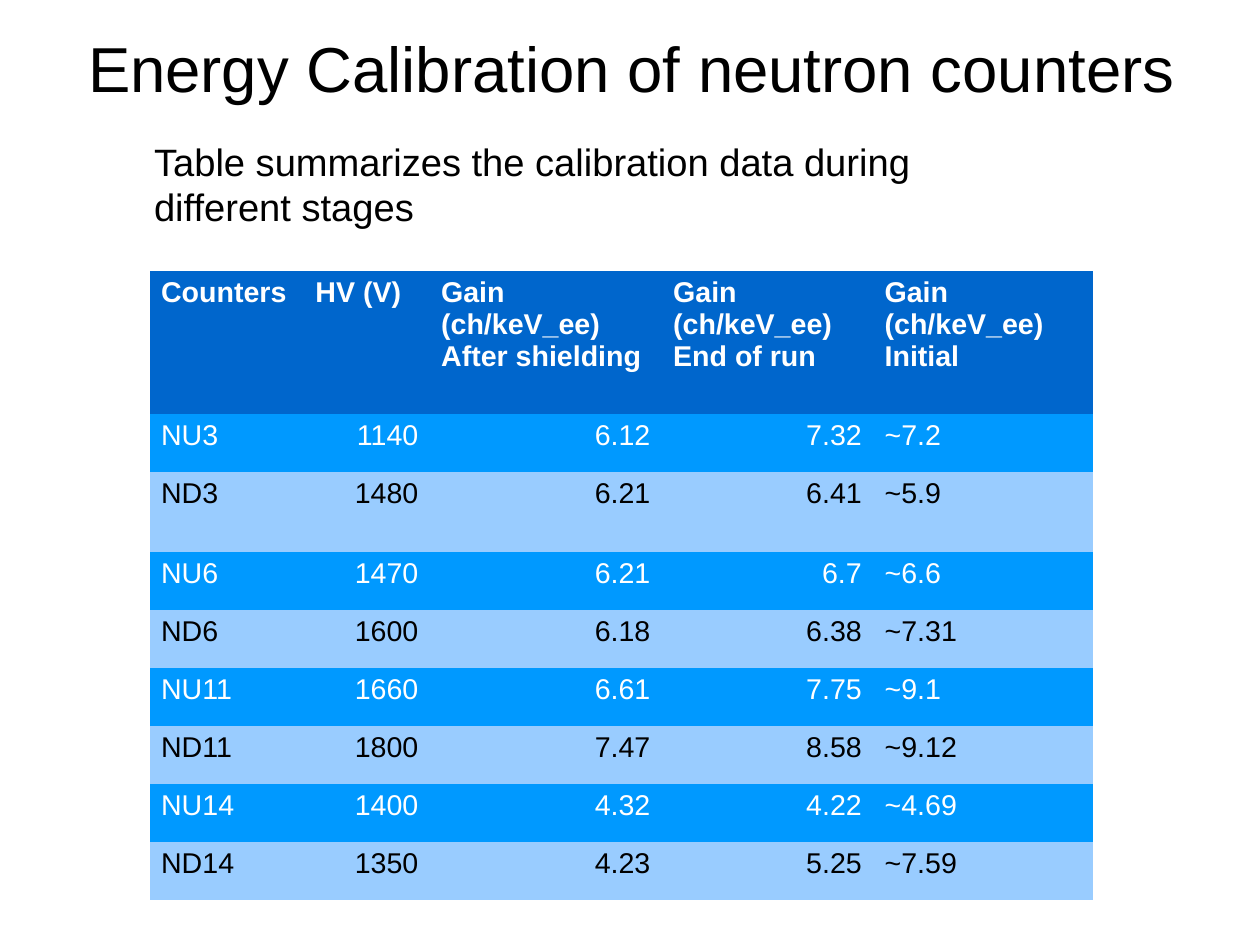
"""Build the slide on energy calibration of neutron counters."""
from pptx import Presentation
from pptx.dml.color import RGBColor
from pptx.enum.text import MSO_ANCHOR as Anchor, MSO_AUTO_SIZE as Fit, PP_ALIGN as Align
from pptx.util import Inches, Pt

WHITE = RGBColor(0xFF, 0xFF, 0xFF)
BLACK = RGBColor(0x00, 0x00, 0x00)
NAVY = RGBColor(0x00, 0x66, 0xCC)
BLUE = RGBColor(0x00, 0x99, 0xFF)
PALE = RGBColor(0x99, 0xCC, 0xFF)
NO_GRID = "{2D5ABB26-0587-4C30-8999-92F81FD0307C}"


def write(frame, text, size, color, bold=False, align=Align.LEFT):
    para = frame.paragraphs[0]
    para.alignment = align
    run = para.add_run()
    run.text = text
    run.font.name = "Arial"
    run.font.size = Pt(size)
    run.font.bold = bold
    run.font.color.rgb = color


def place(shape, left, top, width, height):
    shape.left, shape.top = Inches(left), Inches(top)
    shape.width, shape.height = Inches(width), Inches(height)
    frame = shape.text_frame
    frame.word_wrap = True
    frame.auto_size = Fit.SHAPE_TO_FIT_TEXT
    frame.vertical_anchor = Anchor.TOP
    return frame


deck = Presentation()
deck.slide_width = Inches(28) * 50 // 127
deck.slide_height = Inches(21) * 50 // 127
slide = deck.slides.add_slide(deck.slide_layouts[5])

rows = [
    ("Counters", "HV (V)", "Gain (ch/keV_ee) After shielding",
     "Gain (ch/keV_ee) End of run", "Gain (ch/keV_ee) Initial"),
    ("NU3", "1140", "6.12", "7.32", "~7.2"),
    ("ND3", "1480", "6.21", "6.41", "~5.9"),
    ("NU6", "1470", "6.21", "6.7", "~6.6"),
    ("ND6", "1600", "6.18", "6.38", "~7.31"),
    ("NU11", "1660", "6.61", "7.75", "~9.1"),
    ("ND11", "1800", "7.47", "8.58", "~9.12"),
    ("NU14", "1400", "4.32", "4.22", "~4.69"),
    ("ND14", "1350", "4.23", "5.25", "~7.59"),
]
widths = [1.35, 1.1, 2.03, 1.85, 1.92]
high, top, mid = 5.5, 1.25, 0.7
low = (high - top - mid) / 7
heights = [top, low, mid] + [low] * 6

holder = slide.shapes.add_table(len(rows), len(widths), Inches(1.31), Inches(2.37),
                                Inches(sum(widths)), Inches(high))
holder.element.xpath(".//a:tableStyleId")[0].text = NO_GRID
table = holder.table
table.horz_banding = False
for col, width in zip(table.columns, widths):
    col.width = Inches(width)
for r, row in enumerate(rows):
    table.rows[r].height = Inches(heights[r])
    head = r == 0
    if head:
        fill, color = NAVY, WHITE
    elif r % 2:
        fill, color = BLUE, WHITE
    else:
        fill, color = PALE, BLACK
    for c, text in enumerate(row):
        cell = table.cell(r, c)
        cell.fill.solid()
        cell.fill.fore_color.rgb = fill
        align = Align.RIGHT if not head and c in (1, 2, 3) else Align.LEFT
        write(cell.text_frame, text, 18, color, head, align)

title = place(slide.shapes.title, 0.67, 0.2, 10.25, 0.75)
write(title, "Energy Calibration of neutron counters", 40, BLACK)

note = slide.shapes.add_textbox(0, 0, 0, 0)
write(place(note, 1.25, 1.16, 7.5, 0.84),
      "Table summarizes the calibration data during different stages", 24, BLACK)

deck.save("out.pptx")
